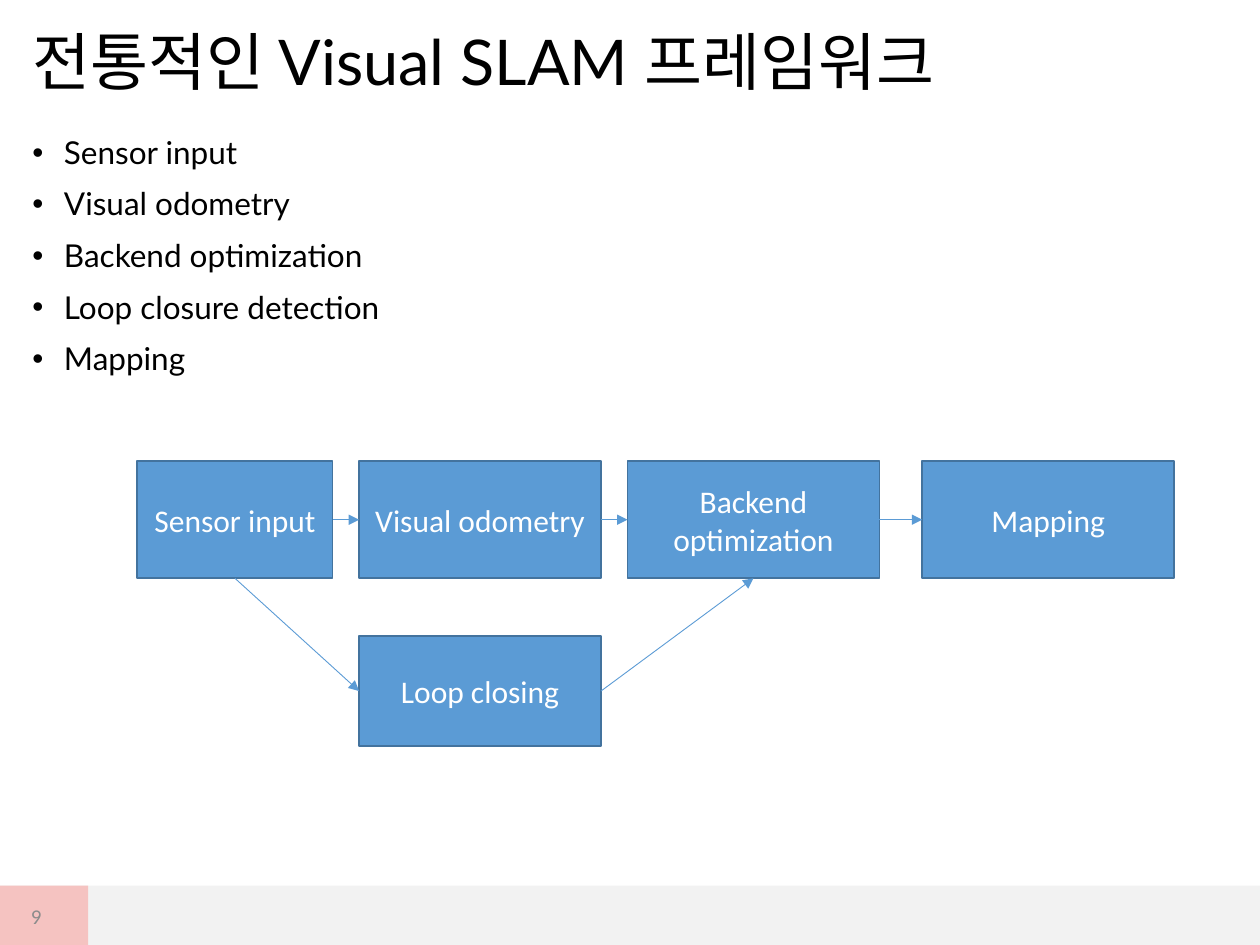
from dataclasses import dataclass

from lxml import etree
from pptx import Presentation
from pptx.dml.color import RGBColor
from pptx.enum.shapes import MSO_CONNECTOR, MSO_SHAPE
from pptx.enum.text import MSO_ANCHOR, PP_ALIGN
from pptx.oxml.ns import qn
from pptx.util import Inches, Pt

RECT = MSO_SHAPE.RECTANGLE
LINE = MSO_CONNECTOR.STRAIGHT
MIDDLE, TOP = MSO_ANCHOR.MIDDLE, MSO_ANCHOR.TOP
LEFT, CENTER, RIGHT = PP_ALIGN.LEFT, PP_ALIGN.CENTER, PP_ALIGN.RIGHT
# Connection sites of a rectangle
SIDE_L, SIDE_B, SIDE_R = 1, 2, 3


@dataclass(frozen=True)
class Theme:
    black: str = "000000"
    white: str = "FFFFFF"
    blue: str = "5B9BD5"
    edge: str = "43739E"
    band: str = "F2F2F2"
    pink: str = "F5C3C1"
    gray: str = "8C8C8C"
    head: str = "Lato"
    body: str = "Calibri"
    title: int = 36
    text: int = 18
    small: int = 12


THEME = Theme()


def rgb(code):
    return RGBColor.from_string(code)


def add_run(para, text, size, font, color):
    run = para.add_run()
    run.text = text
    run.font.size = Pt(size)
    run.font.name = font
    run.font.color.rgb = rgb(color)


def add_rect(slide, x, y, w, h, fill, edge=None):
    rect = slide.shapes.add_shape(RECT, Inches(x), Inches(y), Inches(w), Inches(h))
    rect.shadow.inherit = False
    rect.fill.solid()
    rect.fill.fore_color.rgb = rgb(fill)
    if edge:
        rect.line.color.rgb = rgb(edge)
        rect.line.width = Pt(1)
    else:
        rect.line.fill.background()
    return rect


def add_text(slide, x, y, w, h, anchor):
    box = slide.shapes.add_textbox(Inches(x), Inches(y), Inches(w), Inches(h))
    frame = box.text_frame
    frame.word_wrap = True
    frame.vertical_anchor = anchor
    return frame


def add_para(frame, index, align=LEFT):
    para = frame.add_paragraph() if index else frame.paragraphs[0]
    para.alignment = align
    return para


def add_list(frame, items):
    for i, item in enumerate(items):
        para = add_para(frame, i)
        para.line_spacing = 0.9
        para.space_before = Pt(10 if i else 0)
        props = para._p.get_or_add_pPr()
        props.set("marL", str(Inches(0.25)))
        props.set("indent", str(-Inches(0.25)))
        etree.SubElement(props, qn("a:buFont"), typeface="Arial")
        etree.SubElement(props, qn("a:buChar"), char="•")
        add_run(para, item, THEME.text, THEME.head, THEME.black)


def add_node(slide, x, y, w, h, lines):
    node = add_rect(slide, x, y, w, h, THEME.blue, THEME.edge)
    frame = node.text_frame
    frame.word_wrap = True
    frame.vertical_anchor = MIDDLE
    for i, line in enumerate(lines):
        para = add_para(frame, i, CENTER)
        add_run(para, line, THEME.text, THEME.body, THEME.white)
    return node


def add_arrow(slide, start, out, end, into):
    arrow = slide.shapes.add_connector(LINE, 0, 0, 0, 0)
    arrow.begin_connect(start, out)
    arrow.end_connect(end, into)
    arrow.line.color.rgb = rgb(THEME.blue)
    arrow.line.width = Pt(0.5)
    etree.SubElement(arrow.line._get_or_add_ln(), qn("a:tailEnd"), type="triangle")
    etree.SubElement(arrow._element.spPr, qn("a:effectLst"))


def add_flow(slide):
    # Main row of steps
    steps = [
        (1.09, 1.55, ["Sensor input"]),
        (2.85, 1.92, ["Visual odometry"]),
        (4.98, 2, ["Backend", "optimization"]),
        (7.32, 2, ["Mapping"]),
    ]
    row = [add_node(slide, x, 3.66, w, 0.93, lines) for x, w, lines in steps]
    loop = add_node(slide, 2.85, 5.05, 1.92, 0.87, ["Loop closing"])

    # Arrows along the row, then through the loop
    for start, end in zip(row, row[1:]):
        add_arrow(slide, start, SIDE_R, end, SIDE_L)
    add_arrow(slide, row[0], SIDE_B, loop, SIDE_L)
    add_arrow(slide, loop, SIDE_R, row[2], SIDE_B)


def main():
    deck = Presentation()
    deck.slide_width, deck.slide_height = Inches(10), Inches(7.5)
    slide = deck.slides.add_slide(deck.slide_layouts[6])

    # Footer band
    add_rect(slide, 0, 7.03, 10, 0.47, THEME.band)
    add_rect(slide, 0, 7.03, 0.7, 0.47, THEME.pink)

    # Bullets
    add_list(add_text(slide, 0.16, 1.04, 9.73, 5.96, TOP), [
        "Sensor input",
        "Visual odometry",
        "Backend optimization",
        "Loop closure detection",
        "Mapping",
    ])

    # Title
    para = add_para(add_text(slide, 0.16, 0.11, 9.16, 0.82, MIDDLE), 0)
    para.line_spacing = 0.9
    add_run(para, "전통적인 Visual SLAM 프레임워크", THEME.title, THEME.head, THEME.black)

    # Page number
    frame = add_text(slide, 0.03, 7.07, 0.44, 0.4, MIDDLE)
    frame.margin_right = Inches(0.14)
    add_run(add_para(frame, 0, RIGHT), "9", THEME.small, THEME.body, THEME.gray)

    add_flow(slide)
    deck.save("out.pptx")


if __name__ == "__main__":
    main()
